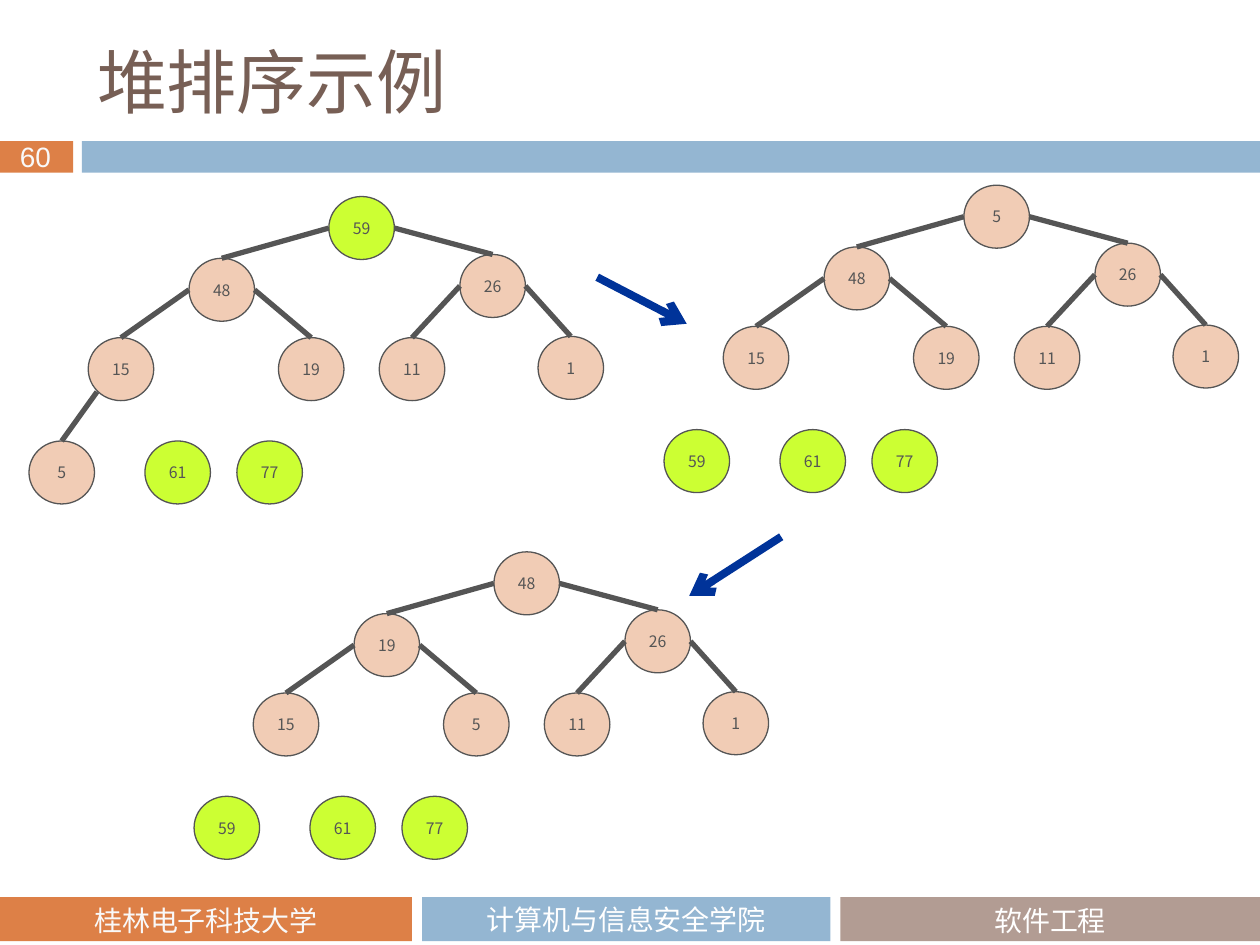
"""Build a slide showing three stages of a heap sort."""
from typing import NamedTuple, Optional

from lxml import etree
from pptx import Presentation
from pptx import util as u
from pptx.dml.color import RGBColor
from pptx.enum import shapes, text
from pptx.oxml.ns import qn

COLORS = {
    "orange": "DD8047", "blue": "94B6D2", "taupe": "B29C93", "brown": "775F55",
    "heap": "F1CCB5", "sorted": "CCFF33", "ink": "555555", "step": "003399",
    "white": "FFFFFF", "offwhite": "F9F9F9",
}
NODE_W, NODE_H = 0.52, 0.5
LEFT_SIDE, RIGHT_SIDE, LOWER_LEFT = (0, 0.25), (0.52, 0.25), (0.07, 0.43)
SLOTS = [
    (0, 0), (-1.11, 0.49), (1.04, 0.46), (-1.91, 1.12), (-0.4, 1.12),
    (0.4, 1.12), (1.66, 1.11), (-2.38, 1.94), (-1.46, 1.94), (-0.73, 1.94),
]


class Box(NamedTuple):
    left: float
    top: float
    width: float
    height: float


class Label(NamedTuple):
    words: str
    size: float
    font: str
    color: str
    align: text.PP_ALIGN = text.PP_ALIGN.CENTER
    anchor: text.MSO_ANCHOR = text.MSO_ANCHOR.MIDDLE
    wrap: bool = True


class Band(NamedTuple):
    box: Box
    color: str
    label: Optional[Label] = None


class Heap(NamedTuple):
    root: tuple[float, float]
    values: list[int]
    sorted_slots: set[int]
    edge_count: int


class Step(NamedTuple):
    start: tuple[float, float]
    end: tuple[float, float]


def footer_label(words: str, color: str, anchor: text.MSO_ANCHOR) -> Label:
    return Label(words, 16, "Cabin", color, anchor=anchor)


TOP, MIDDLE = text.MSO_ANCHOR.TOP, text.MSO_ANCHOR.MIDDLE
BANDS = [
    Band(Box(0, 1.12, 0.58, 0.25), "orange"),
    Band(Box(0.65, 1.12, 9.35, 0.25), "blue"),
    Band(Box(0, 7.12, 3.27, 0.35), "orange"),
    Band(Box(3.35, 7.12, 3.24, 0.35), "blue",
         footer_label("计算机与信息安全学院", "white", MIDDLE)),
    Band(Box(6.67, 7.12, 3.33, 0.35), "taupe"),
]
CAPTIONS = [
    (Box(6.67, 7.12, 3.33, 0.32), footer_label("软件工程", "white", TOP)),
    (Box(0, 7.12, 3.27, 0.32), footer_label("桂林电子科技大学", "offwhite", TOP)),
    (Box(0.06, 1.06, 0.48, 0.37),
     Label("60", 16, "Arial", "offwhite", text.PP_ALIGN.LEFT, TOP, False)),
]
TITLE_BOX = Box(0.67, 0.25, 8.92, 0.78)
TITLE = Label("堆排序示例", 40, "Noto Sans CJK JP", "brown", text.PP_ALIGN.LEFT)
HEAPS = [
    Heap((2.61, 1.56), [59, 48, 26, 15, 19, 11, 1, 5, 61, 77], {0, 8, 9}, 7),
    Heap((7.65, 1.47), [5, 48, 26, 15, 19, 11, 1, 59, 61, 77], {7, 8, 9}, 6),
    Heap((3.92, 4.38), [48, 19, 26, 15, 5, 11, 1, 59, 61, 77], {7, 8, 9}, 6),
]
STEPS = [Step((4.74, 2.2), (5.45, 2.57)), Step((6.2, 4.26), (5.47, 4.73))]


def rgb(name: str) -> RGBColor:
    return RGBColor.from_string(COLORS[name])


def inches(lengths) -> list:
    return [u.Inches(length) for length in lengths]


def write(shape, label: Label) -> None:
    frame = shape.text_frame
    frame_format = {"word_wrap": label.wrap, "vertical_anchor": label.anchor,
                    "auto_size": text.MSO_AUTO_SIZE.NONE}
    for key, value in frame_format.items():
        setattr(frame, key, value)
    paragraph = frame.paragraphs[0]
    paragraph.alignment = label.align
    run = paragraph.add_run()
    run.text = label.words
    for key, value in {"size": u.Pt(label.size), "name": label.font, "bold": False}.items():
        setattr(run.font, key, value)
    run.font.color.rgb = rgb(label.color)
    latin = run.font._element.find(qn("a:latin"))
    east_asian = etree.Element(qn("a:ea"), typeface=label.font)
    latin.addnext(east_asian)


def add_filled(slide, preset, box: Box, color: str):
    shape = slide.shapes.add_shape(preset, *inches(box))
    shape.shadow.inherit = False
    shape.fill.solid()
    shape.fill.fore_color.rgb = rgb(color)
    return shape


def draw_band(slide, band: Band) -> None:
    shape = add_filled(slide, shapes.MSO_SHAPE.RECTANGLE, band.box, band.color)
    shape.line.fill.background()
    if band.label:
        write(shape, band.label)


def draw_node(slide, box: Box, value: int, color: str):
    node = add_filled(slide, shapes.MSO_SHAPE.OVAL, box, color)
    node.line.color.rgb = rgb("ink")
    node.line.width = u.Pt(0.75)
    write(node, Label(str(value), 9, "Noto Sans CJK SC", "ink", wrap=False))
    return node


def draw_line(slide, start, end, color: str, width: float, arrow: bool = False):
    line = slide.shapes.add_connector(shapes.MSO_CONNECTOR.STRAIGHT, *inches((*start, *end)))
    line.line.color.rgb = rgb(color)
    line.line.width = u.Pt(width)
    if arrow:
        etree.SubElement(line.line._get_or_add_ln(), qn("a:tailEnd"), type="arrow")
    etree.SubElement(line._element.spPr, qn("a:effectLst"))
    return line


def draw_heap(slide, heap: Heap) -> None:
    boxes = [Box(heap.root[0] + dx, heap.root[1] + dy, NODE_W, NODE_H) for dx, dy in SLOTS]
    nodes = [
        draw_node(slide, box, value, "sorted" if slot in heap.sorted_slots else "heap")
        for slot, (box, value) in enumerate(zip(boxes, heap.values))
    ]
    for child in range(1, heap.edge_count + 1):
        parent = boxes[(child - 1) // 2]
        side = LOWER_LEFT if child == 7 else LEFT_SIDE if child % 2 else RIGHT_SIDE
        start = (parent.left + side[0], parent.top + side[1])
        end = (boxes[child].left + NODE_W / 2, boxes[child].top)
        edge = draw_line(slide, start, end, "ink", 3)
        edge.end_connect(nodes[child], 0)


def main() -> None:
    deck = Presentation()
    deck.slide_width, deck.slide_height = inches((10, 7.5))
    slide = deck.slides.add_slide(deck.slide_layouts[5])
    for band in BANDS:
        draw_band(slide, band)
    for box, label in CAPTIONS:
        write(slide.shapes.add_textbox(*inches(box)), label)
    title = slide.shapes.title
    for key, value in zip(Box._fields, inches(TITLE_BOX)):
        setattr(title, key, value)
    write(title, TITLE)
    for heap in HEAPS:
        draw_heap(slide, heap)
    for step in STEPS:
        draw_line(slide, step.start, step.end, "step", 4.5, arrow=True)
    deck.save("out.pptx")


if __name__ == "__main__":
    main()
